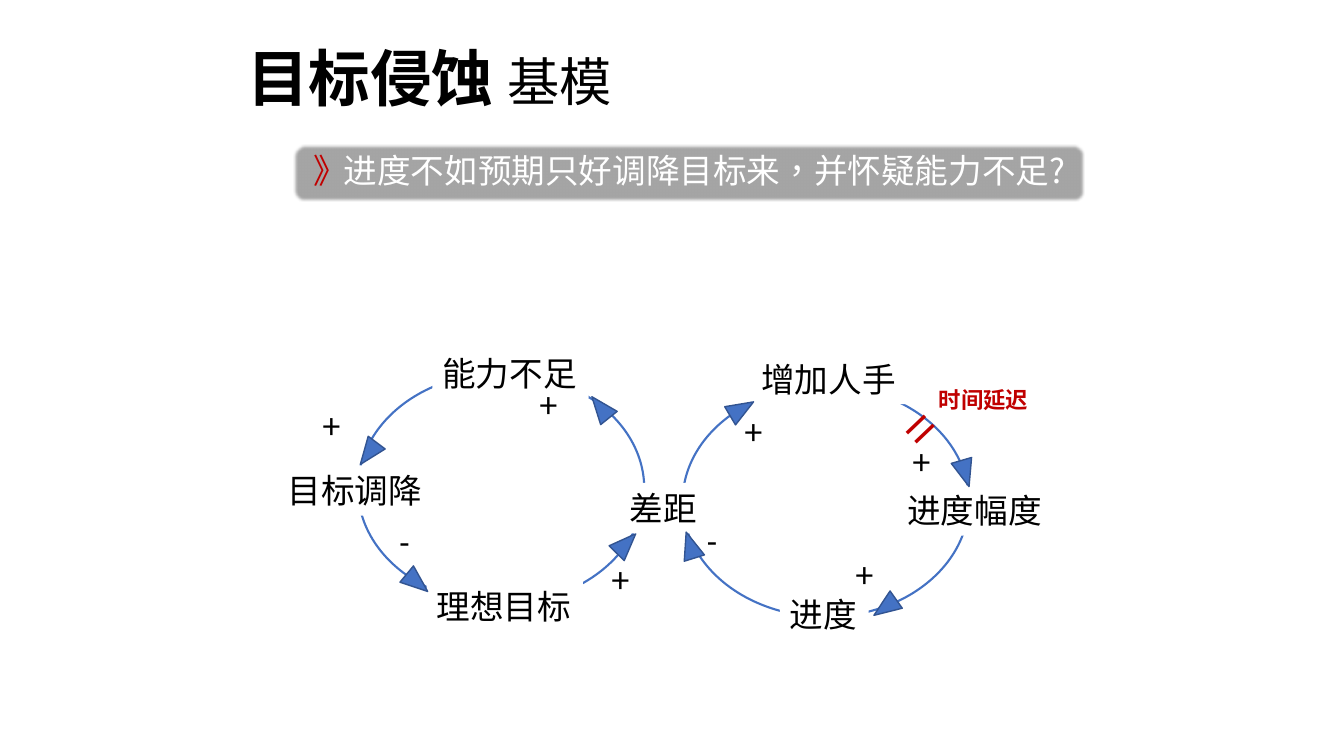
from lxml.etree import SubElement
from pptx import Presentation
from pptx.dml.color import RGBColor
from pptx.enum.lang import MSO_LANGUAGE_ID
from pptx.enum.shapes import MSO_SHAPE
from pptx.enum.text import MSO_ANCHOR, PP_ALIGN
from pptx.oxml.ns import qn
from pptx.util import Inches, Pt

BLACK = RGBColor(0x00, 0x00, 0x00)
WHITE = RGBColor(0xFF, 0xFF, 0xFF)
GREY = RGBColor(0xA5, 0xA5, 0xA5)
RED = RGBColor(0xC0, 0x00, 0x00)
BLUE = RGBColor(0x44, 0x72, 0xC4)
DARK_BLUE = RGBColor(0x32, 0x54, 0x91)
CJK_FONT = "Noto Sans CJK SC"
LOOP_WIDTH, LOOP_HEIGHT = 2.84, 2.29
ROW_HEIGHT = 0.5

EROSION_NODES = [("能力不足", 0.26, -0.11), ("目标调降", -0.28, 0.4), ("理想目标", 0.24, 0.9)]
EROSION_HEADS = [(0.17, 0.85, 129.7), (0, 0.29, 216.9), (0.81, 0.09, 321.3), (0.9, 0.68, 44.5)]
EROSION_SIGNS = [("-", 0.11, 0.62), ("+", -0.16, 0.12), ("+", 0.85, 0.79), ("+", 0.6, 0.03)]
STAFFING_NODES = [("增加人手", 0.24, -0.14), ("进度", 0.34, 0.88),
                  ("进度幅度", 0.75, 0.43), ("差距", -0.22, 0.42)]
STAFFING_HEADS = [(0.67, 0.9, 234.7), (0.95, 0.32, 163.8), (-0.01, 0.63, 342.6), (0.17, 0.04, 59.3)]
STAFFING_SIGNS = [("+", 0.18, 0.09), ("-", 0.05, 0.56), ("+", 0.77, 0.22), ("+", 0.57, 0.71)]


def style_run(run, size, color, bold=False, typeface=CJK_FONT):
    """Format one run for both Latin and East Asian characters."""
    run.font.size = Pt(size)
    run.font.bold = bold
    run.font.color.rgb = color
    run.font.name = typeface
    SubElement(run.font._element, qn("a:ea")).set("typeface", typeface)


def add_label(slide, text, left, top, width, height=ROW_HEIGHT, size=24, color=BLACK,
              bold=False, typeface=CJK_FONT, fill=None):
    """Place one line of text, with a fill where one is given."""
    label = slide.shapes.add_textbox(Inches(left), Inches(top), Inches(width), Inches(height))
    if fill is not None:
        label.fill.solid()
        label.fill.fore_color.rgb = fill
    label.text_frame.word_wrap = False
    label.text_frame.text = text
    style_run(label.text_frame.paragraphs[0].runs[0], size, color, bold, typeface)
    return label


def add_title(slide, left, top, width, height):
    """Set the bold topic and the lighter category in the title placeholder."""
    title = slide.shapes.title
    title.left, title.top = Inches(left), Inches(top)
    title.width, title.height = Inches(width), Inches(height)
    title.text_frame.vertical_anchor = MSO_ANCHOR.MIDDLE
    heading = title.text_frame.paragraphs[0]
    heading.alignment = PP_ALIGN.LEFT
    heading.line_spacing = 0.9
    for text, size, bold in [("目标侵蚀 ", 44, True), ("基模", 37.3, False)]:
        run = heading.add_run()
        run.text = text
        style_run(run, size, BLACK, bold)


def add_banner(slide, left, top, width, height):
    """Draw the soft grey band with its red marker and statement."""
    band = slide.shapes.add_shape(MSO_SHAPE.ROUNDED_RECTANGLE, Inches(left), Inches(top),
                                  Inches(width), Inches(height))
    band.shadow.inherit = False
    band.fill.solid()
    band.fill.fore_color.rgb = GREY
    band.line.fill.background()
    effects = band._element.spPr.find(qn("a:effectLst"))
    SubElement(effects, qn("a:softEdge")).set("rad", str(Inches(0.03)))
    statement = add_label(slide, "进度不如预期只好调降目标来，并怀疑能力不足?",
                          left + 0.4, top + 0.01, width, color=WHITE)
    run = statement.text_frame.paragraphs[0].runs[0]
    run.font.language_id = MSO_LANGUAGE_ID.TRADITIONAL_CHINESE
    add_label(slide, "》", left + 0.1, top + 0.01, 0.54, color=RED)


def add_arrowhead(slide, left, top, angle):
    """Draw one triangular arrowhead turned along its loop."""
    head = slide.shapes.add_shape(MSO_SHAPE.ISOSCELES_TRIANGLE, Inches(left), Inches(top),
                                  Inches(0.21), Inches(0.27))
    head.shadow.inherit = False
    head.rotation = angle
    head.fill.solid()
    head.fill.fore_color.rgb = BLUE
    head.line.color.rgb = DARK_BLUE
    head.line.width = Pt(1)


def add_loop(slide, left, top, nodes, heads, signs):
    """Draw a causal loop whose parts sit at shares of the loop's size."""
    def place(across, down):
        return left + across * LOOP_WIDTH, top + down * LOOP_HEIGHT

    ring = slide.shapes.add_shape(MSO_SHAPE.OVAL, Inches(left), Inches(top),
                                  Inches(LOOP_WIDTH), Inches(LOOP_HEIGHT))
    ring.shadow.inherit = False
    ring.fill.background()
    ring.line.color.rgb = BLUE
    ring.line.width = Pt(1.5)
    for name, across, down in nodes:
        add_label(slide, name, *place(across, down), 0.21 + 0.335 * len(name), fill=WHITE)
    for across, down, angle in heads:
        add_arrowhead(slide, *place(across, down), angle)
    for sign, across, down in signs:
        width, typeface = (0.45, CJK_FONT) if sign == "+" else (0.31, "Calibri")
        add_label(slide, sign, *place(across, down), width, typeface=typeface)


def add_delayed_loop(slide, left, top):
    """Draw the staffing loop with its time delay."""
    add_label(slide, "时间延迟", left + 0.86 * LOOP_WIDTH, top - 0.02 * LOOP_HEIGHT, 1.1, 0.37,
              size=16, color=RED, bold=True, fill=WHITE)
    add_loop(slide, left, top, STAFFING_NODES, STAFFING_HEADS, STAFFING_SIGNS)
    delay = add_label(slide, "=", left + 0.74 * LOOP_WIDTH, top + 0.02 * LOOP_HEIGHT, 0.53, 0.73,
                      size=37.3, color=RED)
    delay.rotation = 316.3


def main():
    """Build and save the slide."""
    deck = Presentation()
    deck.slide_width, deck.slide_height = Inches(13.33), Inches(7.5)
    slide = deck.slides.add_slide(deck.slide_layouts[5])
    add_title(slide, 2.35, 0.4, 8.62, 0.82)
    add_banner(slide, 2.91, 1.43, 7.85, 0.57)
    add_loop(slide, 3.55, 3.7, EROSION_NODES, EROSION_HEADS, EROSION_SIGNS)
    add_delayed_loop(slide, 6.77, 3.83)
    deck.save("out.pptx")


if __name__ == "__main__":
    main()
